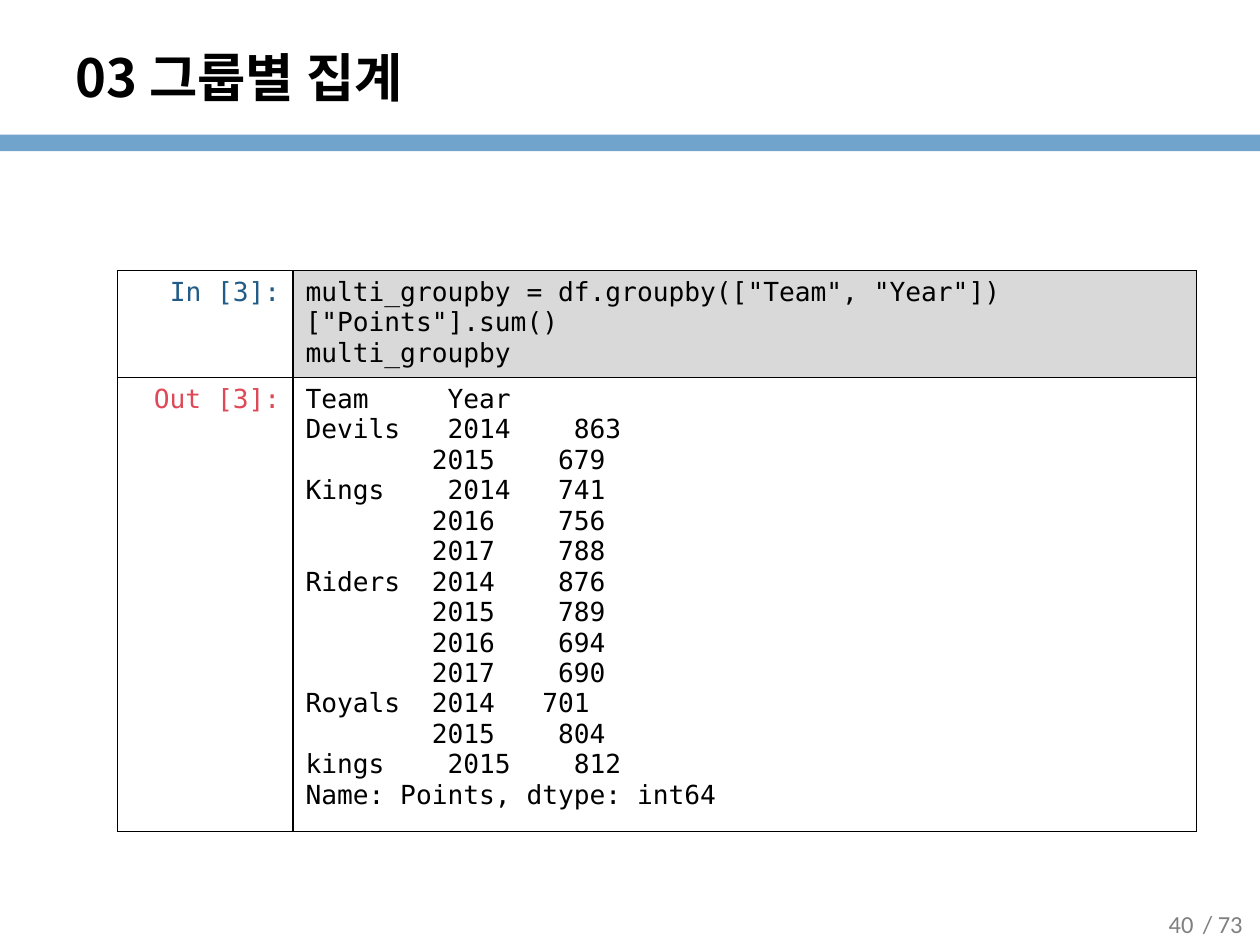
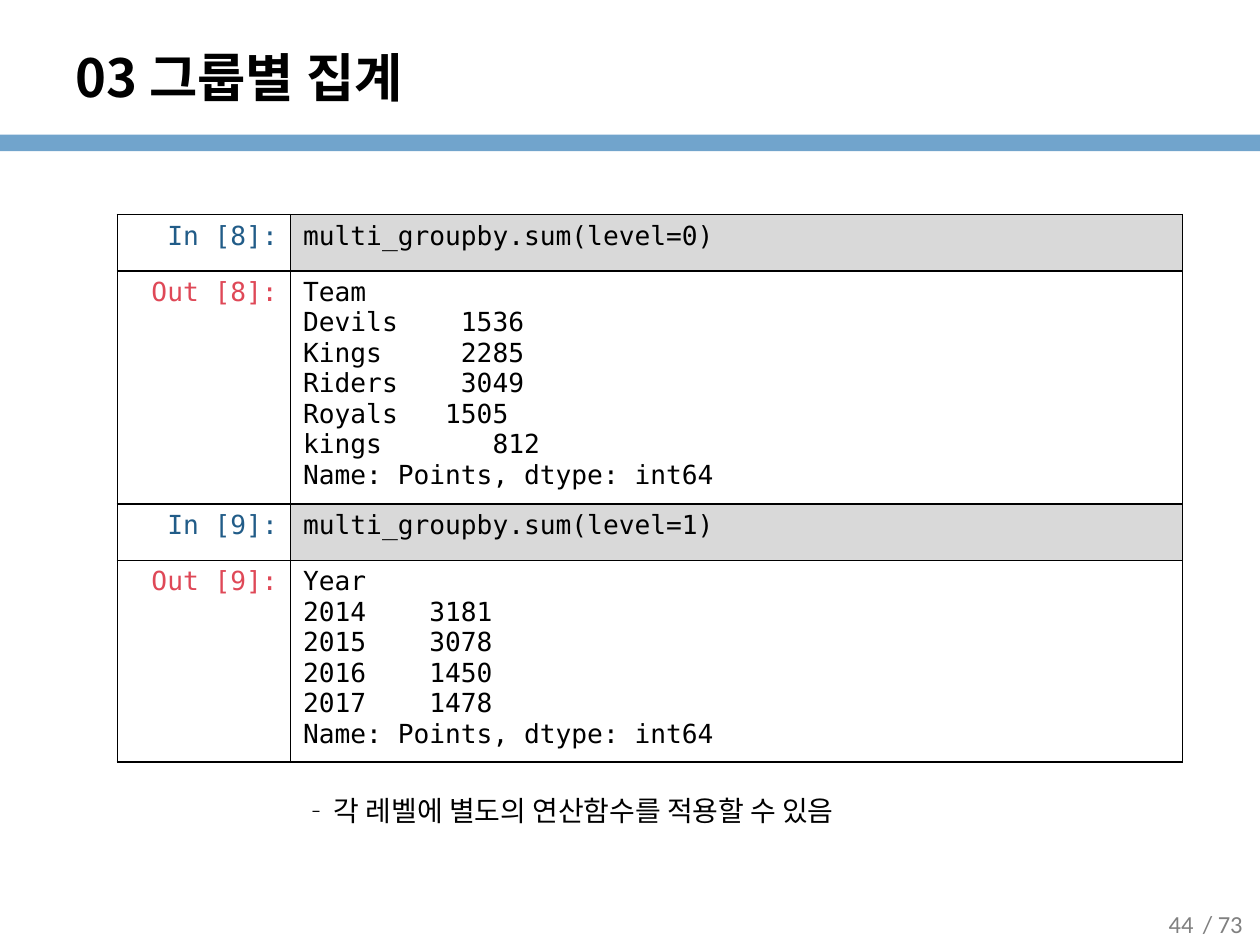
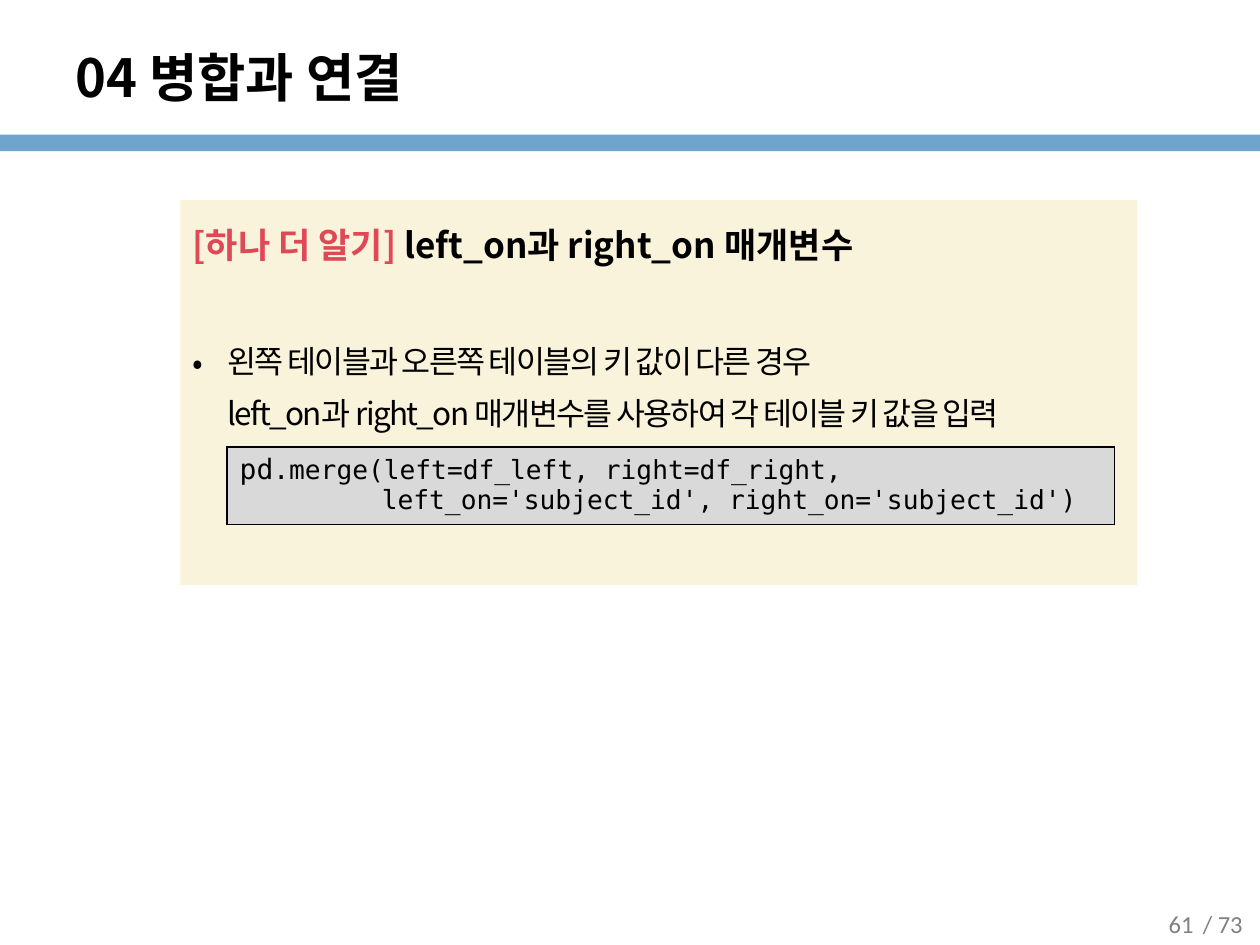
from lxml import etree
from pptx import Presentation
from pptx.dml.color import RGBColor
from pptx.enum import shapes as kinds, text as txt
from pptx.oxml import ns
from pptx.util import Pt

COLORS = {
    "ink": "000000", "band": "71A4CC", "code": "D9D9D9", "panel": "FAF3DB",
    "in": "215C88", "out": "DF4857", "page": "808080",
}
SANS, MONO, PAGE_FONT = "Noto Sans CJK KR", "DejaVu Sans Mono", "Calibri"
PAGE_COUNT = 73
TITLE_ONLY, TITLE_AND_BODY = 5, 1


def color(name):
    return RGBColor.from_string(COLORS[name])


def points(*lengths):
    return [Pt(length) for length in lengths]


def add_run(paragraph, words, size, tint="ink", face=SANS, bold=False, spacing=0):
    run = paragraph.add_run()
    run.text = words
    font = run.font
    font.size, font.bold, font.name = Pt(size), bold, face
    font.color.rgb = color(tint)
    properties = run._r.get_or_add_rPr()
    etree.SubElement(properties, ns.qn("a:ea"), typeface=face)
    if spacing:
        properties.set("spc", str(round(spacing * 100)))


def add_bullet(paragraph, mark, margin, hanging):
    properties = paragraph._p.get_or_add_pPr()
    properties.set("marL", str(Pt(margin)))
    properties.set("indent", str(-Pt(hanging)))
    tint = etree.SubElement(properties, ns.qn("a:buClr"))
    etree.SubElement(tint, ns.qn("a:srgbClr"), val=COLORS["ink"])
    etree.SubElement(properties, ns.qn("a:buFont"), typeface=SANS)
    etree.SubElement(properties, ns.qn("a:buChar"), char=mark)


def add_band(prs, slide):
    """Draw the band under the titles and move it to the slide master."""
    band = slide.shapes.add_shape(kinds.MSO_SHAPE.RECTANGLE, *points(0, 77, 720, 9.4))
    band.shadow.inherit = False
    band.fill.solid()
    band.fill.fore_color.rgb = color("band")
    band.line.fill.background()
    prs.slide_master.shapes.element.insert(2, band.element)


def add_page_number(slide, page):
    for left, words in ((673.2, f"/ {PAGE_COUNT}"), (649.4, str(page))):
        box = slide.shapes.add_textbox(*points(left, 514, 51, 28))
        frame = box.text_frame
        frame.word_wrap = True
        frame.vertical_anchor = txt.MSO_ANCHOR.MIDDLE
        frame.paragraphs[0].alignment = txt.PP_ALIGN.CENTER
        add_run(frame.paragraphs[0], words, 14, "page", PAGE_FONT)


def add_slide(prs, layout, heading, page):
    slide = prs.slides.add_slide(prs.slide_layouts[layout])
    title = slide.shapes.title
    title.left, title.top, title.width, title.height = points(36, 21.6, 564, 44.6)
    frame = title.text_frame
    frame.auto_size = txt.MSO_AUTO_SIZE.NONE
    frame.vertical_anchor = txt.MSO_ANCHOR.MIDDLE
    frame.paragraphs[0].alignment = txt.PP_ALIGN.LEFT
    add_run(frame.paragraphs[0], heading, 30, bold=True)
    add_page_number(slide, page)
    return slide


def style_cell(cell, shaded):
    properties = cell._tc.get_or_add_tcPr()
    for side in ("lnL", "lnR", "lnT", "lnB"):
        border = etree.SubElement(properties, ns.qn(f"a:{side}"), w=str(Pt(1)))
        fill = etree.SubElement(border, ns.qn("a:solidFill"))
        etree.SubElement(fill, ns.qn("a:srgbClr"), val=COLORS["ink"])
    if shaded:
        cell.fill.solid()
        cell.fill.fore_color.rgb = color("code")
    else:
        cell.fill.background()


def add_grid(slide, left, top, widths, heights):
    grid = slide.shapes.add_table(
        len(heights), len(widths), *points(left, top, sum(widths), sum(heights))).table
    grid.first_row = grid.horz_banding = False
    for column, width in zip(grid.columns, widths):
        column.width = Pt(width)
    for row, height in zip(grid.rows, heights):
        row.height = Pt(height)
    return grid


def write_lines(frame, lines):
    """Write one paragraph per line; each line is a list of (words, size) runs."""
    for number, line in enumerate(lines):
        paragraph = frame.add_paragraph() if number else frame.paragraphs[0]
        for words, size in line:
            add_run(paragraph, words, size, face=MONO)


def add_notebook(slide, left, top, widths, cells):
    """Stack (kind, number, row height, code) cells, with prompts at the left."""
    grid = add_grid(slide, left, top, widths, [height for _, _, height, _ in cells])
    for row, (kind, number, _, code) in enumerate(cells):
        prompt, content = grid.cell(row, 0), grid.cell(row, 1)
        style_cell(prompt, False)
        style_cell(content, kind == "in")
        label = prompt.text_frame.paragraphs[0]
        label.alignment = txt.PP_ALIGN.RIGHT
        add_run(label, f"{kind.title()} [{number}]:", 15, kind, MONO)
        write_lines(content.text_frame, [[(line, 15)] for line in code.split("\n")])


def add_note(slide, left, top, width, height, words):
    note = slide.placeholders[1]
    note.left, note.top, note.width, note.height = points(left, top, width, height)
    note.text_frame.auto_size = txt.MSO_AUTO_SIZE.NONE
    paragraph = note.text_frame.paragraphs[0]
    paragraph.line_spacing = 1.25
    paragraph.space_before = Pt(0)
    add_bullet(paragraph, "‐", 126, 18)
    add_run(paragraph, words, 16)


def add_tip_panel(slide, left, top, width, height):
    panel = slide.shapes.add_shape(
        kinds.MSO_SHAPE.RECTANGLE, *points(left, top, width, height))
    panel.shadow.inherit = False
    panel.fill.solid()
    panel.fill.fore_color.rgb = color("panel")
    panel.line.fill.background()
    frame = panel.text_frame
    frame.word_wrap = True
    frame.vertical_anchor = txt.MSO_ANCHOR.TOP

    heading, advice = frame.paragraphs[0], frame.add_paragraph()
    for paragraph in (heading, advice):
        paragraph.alignment = txt.PP_ALIGN.LEFT
        paragraph.line_spacing = 1.4
    add_run(heading, "[하나 더 알기] ", 20, "out", bold=True)
    add_run(heading, "left_on과 right_on 매개변수", 20, bold=True)

    advice.space_before = Pt(35)
    add_bullet(advice, "•", 20, 20)
    add_run(advice, "왼쪽 테이블과 오른쪽 테이블의 키 값이 다른 경우", 18, spacing=-1)
    advice.add_line_break()
    add_run(advice, "left_on과 right_on 매개변수를 사용하여 각 테이블 키 값을 입력",
            18, spacing=-1)

    example = add_grid(slide, left + 26.8, top + 141, [507], [43.5]).cell(0, 0)
    style_cell(example, True)
    write_lines(example.text_frame, [
        [("pd", 16), (".merge(left=df_left, right=df_right,", 15)],
        [("         left_on='subject_id', right_on='subject_id')", 15)],
    ])


GROUP_CODE = """multi_groupby = df.groupby(["Team", "Year"])["Points"].sum()
multi_groupby"""
GROUP_RESULT = """Team     Year
Devils   2014    863
        2015    679
Kings    2014   741
        2016    756
        2017    788
Riders  2014    876
        2015    789
        2016    694
        2017    690
Royals  2014   701
        2015    804
kings    2015    812
Name: Points, dtype: int64"""
TEAM_RESULT = """Team
Devils    1536
Kings     2285
Riders    3049
Royals   1505
kings       812
Name: Points, dtype: int64"""
YEAR_RESULT = """Year
2014    3181
2015    3078
2016    1450
2017    1478
Name: Points, dtype: int64"""


def main():
    prs = Presentation()
    prs.slide_width, prs.slide_height = points(720, 540)

    grouping = add_slide(prs, TITLE_ONLY, "03 그룹별 집계", 40)
    add_band(prs, grouping)
    add_notebook(grouping, 67, 154.6, [100.4, 516.4], [
        ("in", 3, 59.5, GROUP_CODE),
        ("out", 3, 250.8, GROUP_RESULT),
    ])

    levels = add_slide(prs, TITLE_AND_BODY, "03 그룹별 집계", 44)
    add_notebook(levels, 67, 122.6, [99, 509.6], [
        ("in", 8, 32.2, "multi_groupby.sum(level=0)"),
        ("out", 8, 129.2, TEAM_RESULT),
        ("in", 9, 32.2, "multi_groupby.sum(level=1)"),
        ("out", 9, 111.8, YEAR_RESULT),
    ])
    add_note(levels, 57.6, 445, 635, 31, "각 레벨에 별도의 연산함수를 적용할 수 있음")

    merging = add_slide(prs, TITLE_ONLY, "04 병합과 연결", 61)
    add_tip_panel(merging, 103, 114.4, 547, 220)

    prs.save("out.pptx")


if __name__ == "__main__":
    main()
